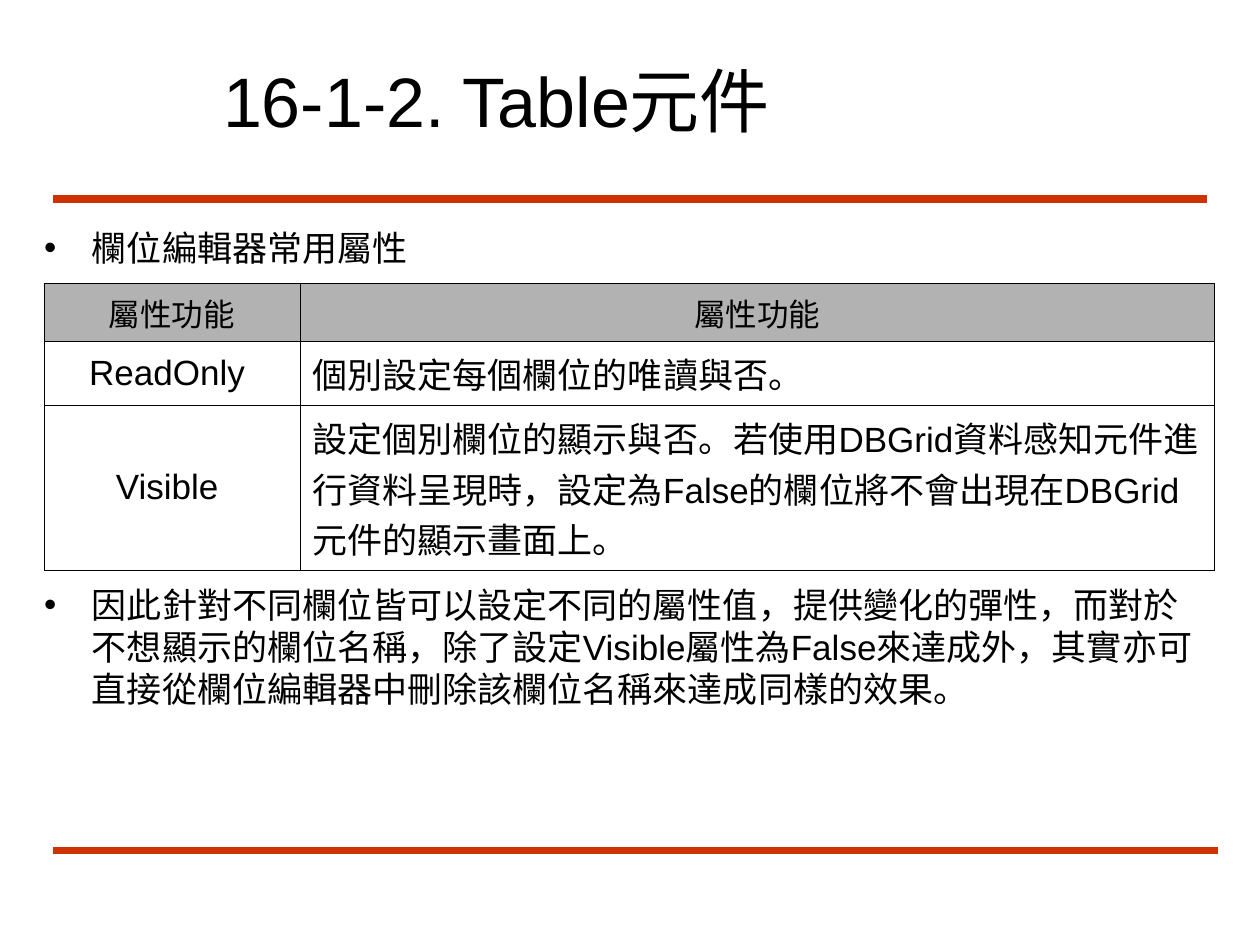
import pptx
import pptx.dml.color
import pptx.enum.shapes
import pptx.enum.text
import pptx.oxml
import pptx.oxml.ns
import pptx.util
from pptx.dml.color import RGBColor
from pptx.util import Inches, Pt

# Content
TITLE = "16-1-2. Table元件"
BULLETS = [
    "欄位編輯器常用屬性",
    "因此針對不同欄位皆可以設定不同的屬性值，提供變化的彈性，而對於不想顯示的欄位名稱，"
    "除了設定Visible屬性為False來達成外，其實亦可直接從欄位編輯器中刪除該欄位名稱來達成同樣的效果。",
]
TABLE_ROWS = [
    ("屬性功能", "屬性功能"),
    ("ReadOnly ", "個別設定每個欄位的唯讀與否。"),
    ("Visible ", "設定個別欄位的顯示與否。若使用DBGrid資料感知元件進行資料呈現時，"
                 "設定為False的欄位將不會出現在DBGrid元件的顯示畫面上。"),
]

# Format
BLACK = RGBColor(0x00, 0x00, 0x00)
RULE_RED = RGBColor(0xCC, 0x33, 0x00)
HEADER_GRAY = RGBColor(0xB2, 0xB2, 0xB2)
CJK_FONT = "Noto Sans CJK SC"
TITLE_FONT = {"name": "Arial", "size": Pt(40)}
TEXT_FONT = {"name": "Arial", "size": Pt(20)}
HEADER_FONT = {"name": CJK_FONT, "size": Pt(18)}
ALIGN = pptx.enum.text.PP_ALIGN
ANCHOR = pptx.enum.text.MSO_ANCHOR
TITLE_BOX = (1.67, 0.33, 7.58, 0.92)
BODY_BOX = (0.25, 1.75, 9.4, 4.83)
TABLE_BOX = (0.35, 2.25, 9.29, 1.98)
COLUMN_WIDTHS = [2.03, 7.26]
ROW_HEIGHTS = [0.42, 0.46, 1.1]
RULES = [(0.42, 9.58, 1.58), (0.42, 9.67, 6.75)]  # left, right, y
TABLE_GAP = Pt(180)  # room for the table between the bullets
DRAWING_NS = pptx.oxml.ns.nsdecls("a")


def set_attributes(target, values):
    for name, value in values.items():
        setattr(target, name, value)


def write(paragraph, text, font, **paragraph_format):
    run = paragraph.add_run()
    run.text = text
    set_attributes(paragraph, paragraph_format)
    set_attributes(run.font, font)
    run.font.color.rgb = BLACK
    run.font._element.append(pptx.oxml.parse_xml(f'<a:ea {DRAWING_NS} typeface="{CJK_FONT}"/>'))


def place(shape, box):
    set_attributes(shape, dict(zip(("left", "top", "width", "height"), map(Inches, box))))
    set_attributes(shape.text_frame, {"word_wrap": True, "auto_size": pptx.enum.text.MSO_AUTO_SIZE.NONE})


def add_borders(cell):
    properties = cell._tc.get_or_add_tcPr()
    for index, side in enumerate("LRTB"):
        properties.insert(index, pptx.oxml.parse_xml(
            f'<a:ln{side} {DRAWING_NS} w="{Pt(0.45)}"><a:solidFill>'
            f'<a:srgbClr val="{BLACK}"/></a:solidFill></a:ln{side}>'))


presentation = pptx.Presentation()
set_attributes(presentation, {"slide_width": Inches(10), "slide_height": Inches(7.5)})
slide = presentation.slides.add_slide(presentation.slide_layouts[1])

# Red rules
for left, right, y in RULES:
    rule = slide.shapes.add_connector(
        pptx.enum.shapes.MSO_CONNECTOR.STRAIGHT, Inches(left), Inches(y), Inches(right), Inches(y))
    rule.line.color.rgb = RULE_RED
    rule.line.width = Pt(4.5)
    rule._element.spPr.append(pptx.oxml.parse_xml(f"<a:effectLst {DRAWING_NS}/>"))

# Title
title = slide.shapes.title
place(title, TITLE_BOX)
title.text_frame.vertical_anchor = ANCHOR.MIDDLE
write(title.text_frame.paragraphs[0], TITLE, TITLE_FONT, alignment=ALIGN.LEFT)

# Bullets above and below the table
body = slide.placeholders[1]
place(body, BODY_BOX)
for index, text in enumerate(BULLETS):
    paragraph = body.text_frame.add_paragraph() if index else body.text_frame.paragraphs[0]
    properties = paragraph._p.get_or_add_pPr()
    properties.set("marL", str(Inches(0.38)))
    properties.set("indent", str(-Inches(0.38)))
    properties.append(pptx.oxml.parse_xml(f'<a:buChar {DRAWING_NS} char="•"/>'))
    write(paragraph, text, TEXT_FONT, line_spacing=Pt(24), space_before=TABLE_GAP if index else Pt(0))

# Property table
table = slide.shapes.add_table(
    len(TABLE_ROWS), len(COLUMN_WIDTHS), *map(Inches, TABLE_BOX)).table
for column, width in zip(table.columns, COLUMN_WIDTHS):
    column.width = Inches(width)
for row_index, (row, height, texts) in enumerate(zip(table.rows, ROW_HEIGHTS, TABLE_ROWS)):
    row.height = Inches(height)
    is_header = row_index == 0
    for column_index, (cell, text) in enumerate(zip(row.cells, texts)):
        is_name = column_index == 0
        cell.vertical_anchor = ANCHOR.MIDDLE if is_name else ANCHOR.TOP
        if is_header:
            cell.fill.solid()
            cell.fill.fore_color.rgb = HEADER_GRAY
        else:
            cell.fill.background()
        add_borders(cell)
        paragraph = cell.text_frame.paragraphs[0]
        write(paragraph, text, HEADER_FONT if is_header else TEXT_FONT,
              alignment=ALIGN.CENTER if is_header or is_name else ALIGN.LEFT)
        paragraph.runs[0].font.bold = False

presentation.save("out.pptx")
